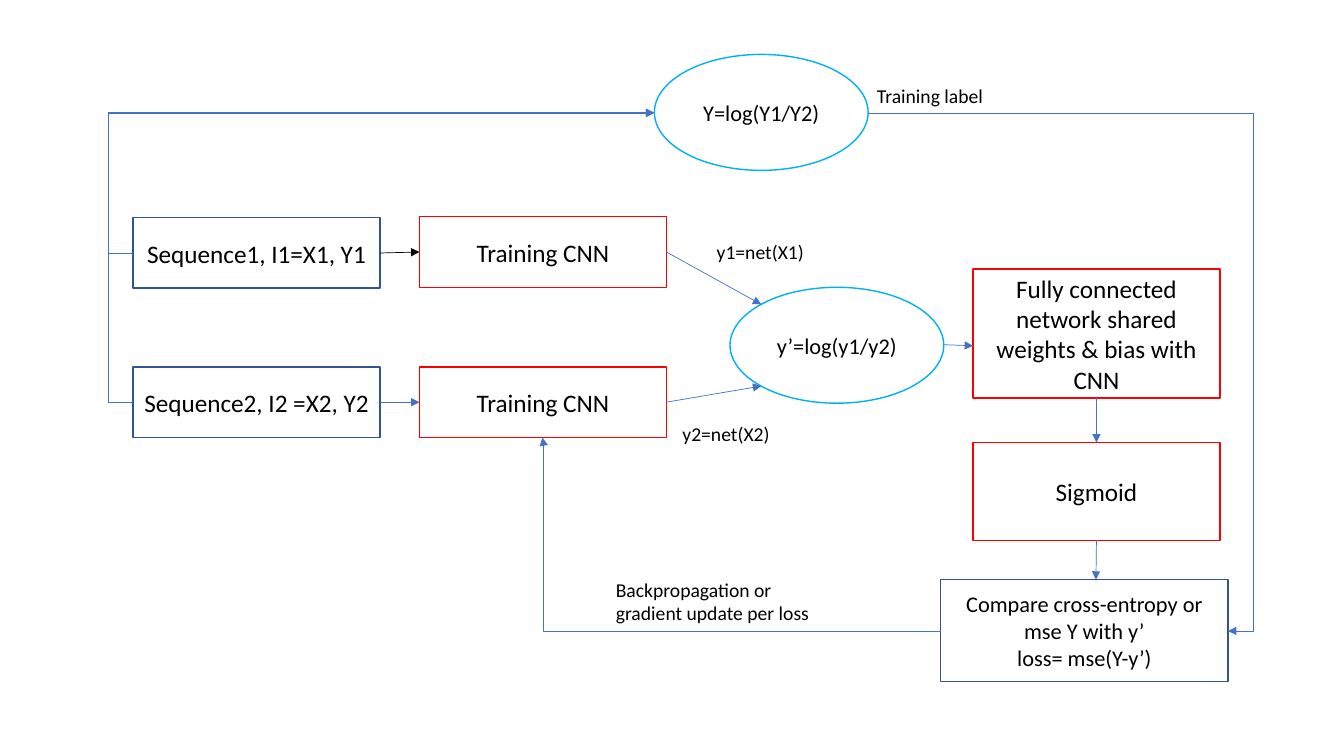
from dataclasses import dataclass
from typing import Optional

import pptx
import pptx.dml.color
import pptx.enum.shapes
import pptx.enum.text
import pptx.oxml.ns
import pptx.util
from lxml import etree

PX = 9144  # EMU per px, at 100 px to the inch
FONT = "Calibri"
COLORS = {
    "text": "000000",
    "data": "325491",
    "network": "FF0000",
    "ratio": "00B0F0",
    "flow": "4472C4",
    "black": "000000",
}
SHAPE = pptx.enum.shapes.MSO_SHAPE
CONNECTOR = pptx.enum.shapes.MSO_CONNECTOR
ALIGN = pptx.enum.text.PP_ALIGN
qn = pptx.oxml.ns.qn

# Anchors are fractions of a node's width and height
Anchor = tuple[float, float]
TOP, LEFT, BOTTOM, RIGHT = (0.5, 0), (0, 0.5), (0.5, 1), (1, 0.5)
SIDES = [TOP, LEFT, BOTTOM, RIGHT]
OVAL_TOP_LEFT, OVAL_BOTTOM_LEFT = (0.146, 0.146), (0.146, 0.854)
LEFT_LOW, TOP_OFFSET = (0, 0.59), (0.54, 0)


@dataclass
class Node:
    name: str
    text: str
    left: int
    top: int
    width: int
    height: int
    color: str
    size: int = 18
    oval: bool = False


@dataclass
class Label:
    text: str
    left: int
    top: int
    width: int
    height: int


@dataclass
class Link:
    start: str
    start_at: Anchor
    end: str
    end_at: Anchor
    bend_x: Optional[int] = None
    color: str = "flow"


NODES = [
    Node("seq1", "Sequence1, I1=X1, Y1", 132, 216, 245, 70, "data"),
    Node("seq2", "Sequence2, I2 =X2, Y2", 132, 364, 245, 70, "data"),
    Node("cnn1", "Training CNN", 416, 215, 245, 70, "network"),
    Node("cnn2", "Training CNN", 416, 364, 245, 70, "network"),
    Node("predicted", "y’=log(y1/y2)", 724, 285, 212, 115, "ratio", 16, True),
    Node("loss", "Compare cross-entropy or mse Y with y’\nloss= mse(Y-y’)",
         933, 575, 285, 101, "data", 16),
    Node("dense", "Fully connected network shared weights & bias with CNN",
         965, 267, 245, 128, "network"),
    Node("sigmoid", "Sigmoid", 965, 439, 245, 97, "network"),
    Node("target", "Y=log(Y1/Y2)", 649, 54, 212, 115, "ratio", 16, True),
]

LABELS = [
    Label("y1=net(X1)", 701, 233, 153, 34),
    Label("y2=net(X2)", 667, 414, 153, 34),
    Label("Backpropagation or gradient update per loss", 601, 568, 214, 57),
    Label("Training label", 860, 78, 153, 34),
]

LINKS = [
    Link("seq1", RIGHT, "cnn1", LEFT, color="black"),
    Link("seq2", RIGHT, "cnn2", LEFT),
    Link("cnn1", RIGHT, "predicted", OVAL_TOP_LEFT),
    Link("cnn2", RIGHT, "predicted", OVAL_BOTTOM_LEFT),
    Link("predicted", RIGHT, "dense", LEFT_LOW),
    Link("dense", BOTTOM, "sigmoid", TOP),
    Link("sigmoid", BOTTOM, "loss", TOP_OFFSET),
    Link("loss", LEFT, "cnn2", BOTTOM, bend_x=539),
    Link("seq1", LEFT, "target", LEFT, bend_x=107),
    Link("seq2", LEFT, "target", LEFT, bend_x=107),
    Link("target", RIGHT, "loss", RIGHT, bend_x=1243),
]


def rgb(name: str) -> pptx.dml.color.RGBColor:
    return pptx.dml.color.RGBColor.from_string(COLORS[name])


def write(tf, text: str, size: int, align) -> None:
    tf.word_wrap = True
    tf.text = text
    for p in tf.paragraphs:
        p.alignment = align
        for r in p.runs:
            r.font.name = FONT
            r.font.size = pptx.util.Pt(size)
            r.font.color.rgb = rgb("text")


def add_node(slide, node: Node):
    kind = SHAPE.OVAL if node.oval else SHAPE.RECTANGLE
    sp = slide.shapes.add_shape(
        kind, node.left * PX, node.top * PX, node.width * PX, node.height * PX)
    sp.shadow.inherit = False
    sp.fill.background()
    sp.line.color.rgb = rgb(node.color)
    sp.line.width = pptx.util.Pt(1)
    sp.text_frame.vertical_anchor = pptx.enum.text.MSO_ANCHOR.MIDDLE
    write(sp.text_frame, node.text, node.size, ALIGN.CENTER)
    return sp


def add_label(slide, label: Label) -> None:
    sp = slide.shapes.add_textbox(
        label.left * PX, label.top * PX, label.width * PX, label.height * PX)
    write(sp.text_frame, label.text, 14, ALIGN.LEFT)
    sp.text_frame.auto_size = pptx.enum.text.MSO_AUTO_SIZE.SHAPE_TO_FIT_TEXT


def locate(node: Node, at: Anchor) -> tuple[int, int]:
    return (round(node.left + at[0] * node.width),
            round(node.top + at[1] * node.height))


def bend(cxn, x0: int, x1: int, bend_x: int) -> None:
    """Put the vertical run at bend_x; one corner is enough if that is x1."""
    geom = cxn.element.spPr.find(qn("a:prstGeom"))
    if bend_x == x1:
        geom.set("prst", "bentConnector2")
        return
    ratio = round((bend_x - x0) / (x1 - x0) * 100000)
    etree.SubElement(geom.find(qn("a:avLst")), qn("a:gd"),
                     name="adj1", fmla=f"val {ratio}")


def add_link(slide, link: Link, nodes: dict[str, Node], shapes: dict) -> None:
    start, end = nodes[link.start], nodes[link.end]
    x0, y0 = locate(start, link.start_at)
    x1, y1 = locate(end, link.end_at)
    straight = link.bend_x is None
    kind = CONNECTOR.STRAIGHT if straight else CONNECTOR.ELBOW
    cxn = slide.shapes.add_connector(kind, x0 * PX, y0 * PX, x1 * PX, y1 * PX)
    if straight:
        if not start.oval and link.start_at in SIDES:
            cxn.begin_connect(shapes[link.start], SIDES.index(link.start_at))
        if not end.oval and link.end_at in SIDES:
            cxn.end_connect(shapes[link.end], SIDES.index(link.end_at))
    else:
        bend(cxn, x0, x1, link.bend_x)
    cxn.line.color.rgb = rgb(link.color)
    cxn.line.width = pptx.util.Pt(0.5)
    sp_pr = cxn.element.spPr
    etree.SubElement(sp_pr.find(qn("a:ln")), qn("a:tailEnd"), type="triangle")
    etree.SubElement(sp_pr, qn("a:effectLst"))


def main() -> None:
    prs = pptx.Presentation()
    prs.slide_width, prs.slide_height = 1333 * PX, 750 * PX
    slide = prs.slides.add_slide(prs.slide_layouts[6])
    nodes = {node.name: node for node in NODES}
    shapes = {node.name: add_node(slide, node) for node in NODES}
    for link in LINKS:
        add_link(slide, link, nodes, shapes)
    for label in LABELS:
        add_label(slide, label)
    prs.save("out.pptx")


if __name__ == "__main__":
    main()
